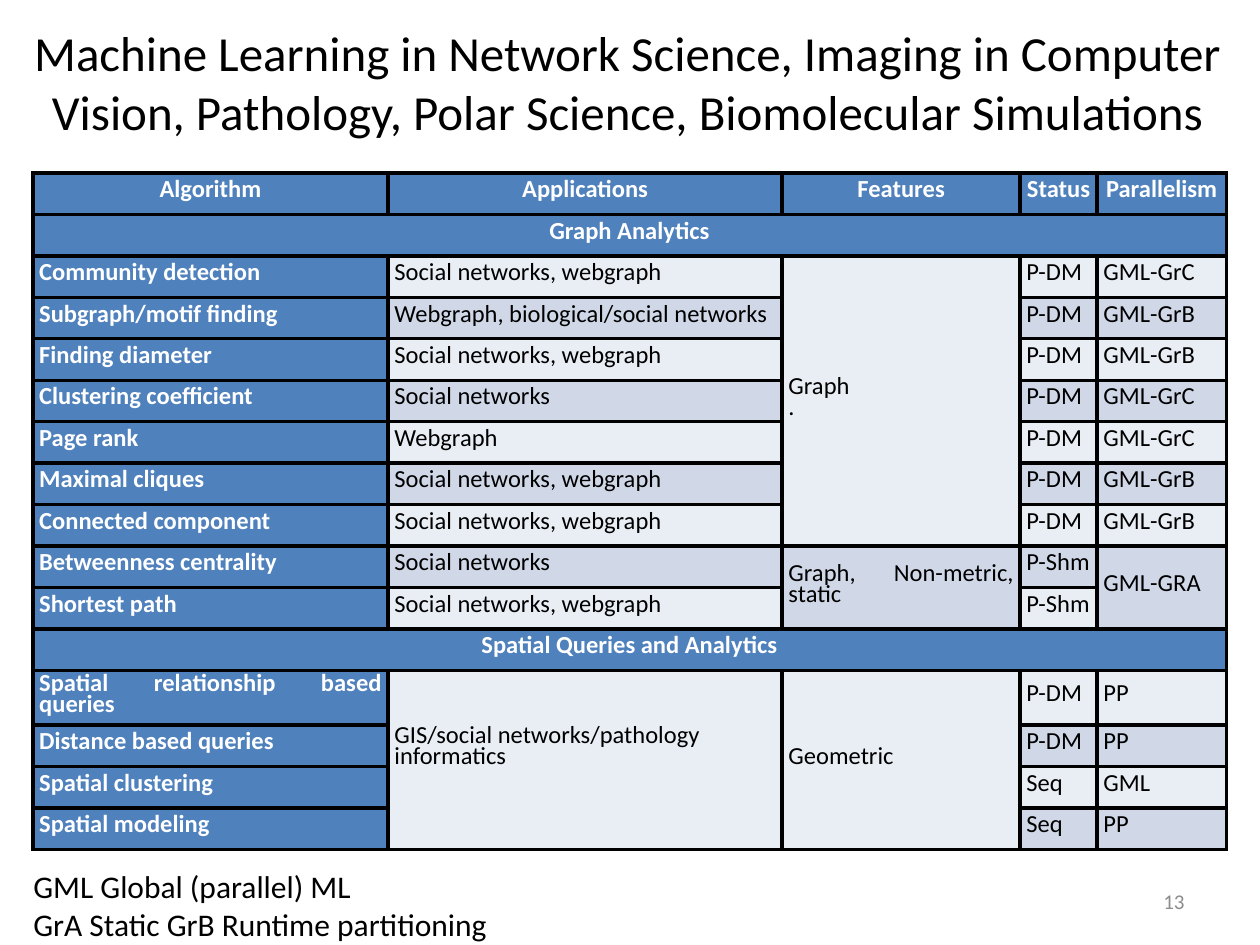
from lxml.etree import SubElement
from pptx import Presentation
from pptx.dml.color import RGBColor
from pptx.enum.text import MSO_ANCHOR as Anchor, MSO_AUTO_SIZE as Fit, PP_ALIGN as Align
from pptx.oxml import parse_xml
from pptx.oxml.ns import nsdecls, qn
from pptx.util import Pt

BLACK = RGBColor(0x00, 0x00, 0x00)
WHITE = RGBColor(0xFF, 0xFF, 0xFF)
GRAY = RGBColor(0x8C, 0x8C, 0x8C)
BLUE = RGBColor(0x4F, 0x81, 0xBD)
LIGHT = RGBColor(0xE9, 0xED, 0xF4)
DARK = RGBColor(0xD0, 0xD8, 0xE8)

WIDTHS = [203, 225.2, 136, 44, 73.8]
HEIGHT = 23.7
TALL = 31.2
WEB = "Social networks, webgraph"

# A row with one entry is a section band; None lies under the cell above.
ROWS = [
    ["Algorithm", "Applications", "Features", "Status", "Parallelism"],
    ["Graph Analytics"],
    ["Community detection", WEB, "Graph\n.", "P-DM", "GML-GrC"],
    ["Subgraph/motif finding", "Webgraph, biological/social networks", None, "P-DM", "GML-GrB"],
    ["Finding diameter", WEB, None, "P-DM", "GML-GrB"],
    ["Clustering coefficient", "Social networks", None, "P-DM", "GML-GrC"],
    ["Page rank", "Webgraph", None, "P-DM", "GML-GrC"],
    ["Maximal cliques", WEB, None, "P-DM", "GML-GrB"],
    ["Connected component", WEB, None, "P-DM", "GML-GrB"],
    ["Betweenness centrality", "Social networks", "Graph, Non-metric, static", "P-Shm", "GML-GRA"],
    ["Shortest path", WEB, None, "P-Shm", None],
    ["Spatial Queries and Analytics"],
    ["Spatial relationship based queries", "GIS/social networks/pathology informatics",
     "Geometric", "P-DM", "PP"],
    ["Distance based queries", None, None, "P-DM", "PP"],
    ["Spatial clustering", None, None, "Seq", "GML"],
    ["Spatial modeling", None, None, "Seq", "PP"],
]


class Deck:
    """Holds the style and the current slide."""

    font = "Calibri"

    def __init__(self):
        self.prs = Presentation()
        self.prs.slide_width, self.prs.slide_height = Pt(720), Pt(540)
        self.slide = self.prs.slides.add_slide(self.prs.slide_layouts[5])

    def style(self, frame, size, color=BLACK, align=Align.LEFT, bold=False):
        for para in frame.paragraphs:
            para.alignment = align
            for run in para.runs:
                font = run.font
                font.name, font.size, font.bold = self.font, Pt(size), bold
                font.color.rgb = color

    def title(self, text, left, top, width, height):
        shape = self.slide.shapes.title
        shape.left, shape.top = Pt(left), Pt(top)
        shape.width, shape.height = Pt(width), Pt(height)
        frame = shape.text_frame
        frame.text = text
        frame.auto_size = Fit.NONE
        frame.vertical_anchor = Anchor.MIDDLE
        self.style(frame, 28, align=Align.CENTER)

    def text(self, text, left, top, width, height, size, color=BLACK,
             align=Align.LEFT, anchor=Anchor.TOP):
        box = self.slide.shapes.add_textbox(Pt(left), Pt(top), Pt(width), Pt(height))
        frame = box.text_frame
        frame.word_wrap = True
        frame.vertical_anchor = anchor
        frame.text = text
        self.style(frame, size, color, align)

    def border(self, cell, width=2.25):
        props = cell._tc.get_or_add_tcPr()
        for spot, side in enumerate("LRTB"):
            line = parse_xml(f'<a:ln{side} {nsdecls("a")} w="{Pt(width)}"/>')
            fill = SubElement(line, qn("a:solidFill"))
            SubElement(fill, qn("a:srgbClr"), val=str(BLACK))
            props.insert(spot, line)

    def cell(self, cell, text, fill, head, align):
        cell.fill.solid()
        cell.fill.fore_color.rgb = fill
        self.border(cell)
        cell.vertical_anchor = Anchor.MIDDLE
        cell.margin_left = cell.margin_right = Pt(3.6)
        cell.margin_top = cell.margin_bottom = Pt(3.6)
        frame = cell.text_frame
        frame.text = text
        self.style(frame, 14, WHITE if head else BLACK, align, head)
        for para in frame.paragraphs:
            para.line_spacing = Pt(12)

    def table(self, rows, left, top):
        shape = self.slide.shapes.add_table(
            len(rows), len(WIDTHS), Pt(left), Pt(top), Pt(sum(WIDTHS)), Pt(HEIGHT * len(rows)))
        grid = shape.table
        for col, width in zip(grid.columns, WIDTHS):
            col.width = Pt(width)
        for r, row in enumerate(rows):
            grid.rows[r].height = Pt(HEIGHT)
            band = len(row) == 1
            full = row + [""] * (len(WIDTHS) - len(row))
            for c, text in enumerate(full):
                head = r == 0 or c == 0 or band
                fill = BLUE if head else (DARK if r % 2 else LIGHT)
                align = Align.CENTER if r == 0 or band else Align.JUSTIFY
                self.cell(grid.cell(r, c), text or "", fill, head, align)
            if band:
                grid.cell(r, 0).merge(grid.cell(r, len(WIDTHS) - 1))
        self.join(grid, rows)
        return grid

    def join(self, grid, rows):
        """Merge each cell with the None entries below it."""
        for r, row in enumerate(rows):
            for c, text in enumerate(row):
                end = r
                while end + 1 < len(rows) and len(rows[end + 1]) > c and rows[end + 1][c] is None:
                    end += 1
                if text is not None and end > r:
                    grid.cell(r, c).merge(grid.cell(end, c))


def main():
    deck = Deck()
    deck.title("Machine Learning in Network Science, Imaging in Computer Vision, "
               "Pathology, Polar Science, Biomolecular Simulations", 1.5, 2, 714, 89.5)
    deck.text("13", 516, 500.5, 168, 28.75, 12, GRAY, Align.RIGHT, Anchor.MIDDLE)
    grid = deck.table(ROWS, 18.8, 98.8)
    grid.rows[12].height = Pt(TALL)
    places = grid.cell(12, 1)
    places.margin_bottom = Pt(15.6)
    places.text_frame.paragraphs[0].alignment = Align.LEFT
    deck.text("GML Global (parallel) ML\nGrA Static GrB Runtime partitioning",
              12, 492, 282, 51, 18)
    deck.prs.save("out.pptx")


if __name__ == "__main__":
    main()
